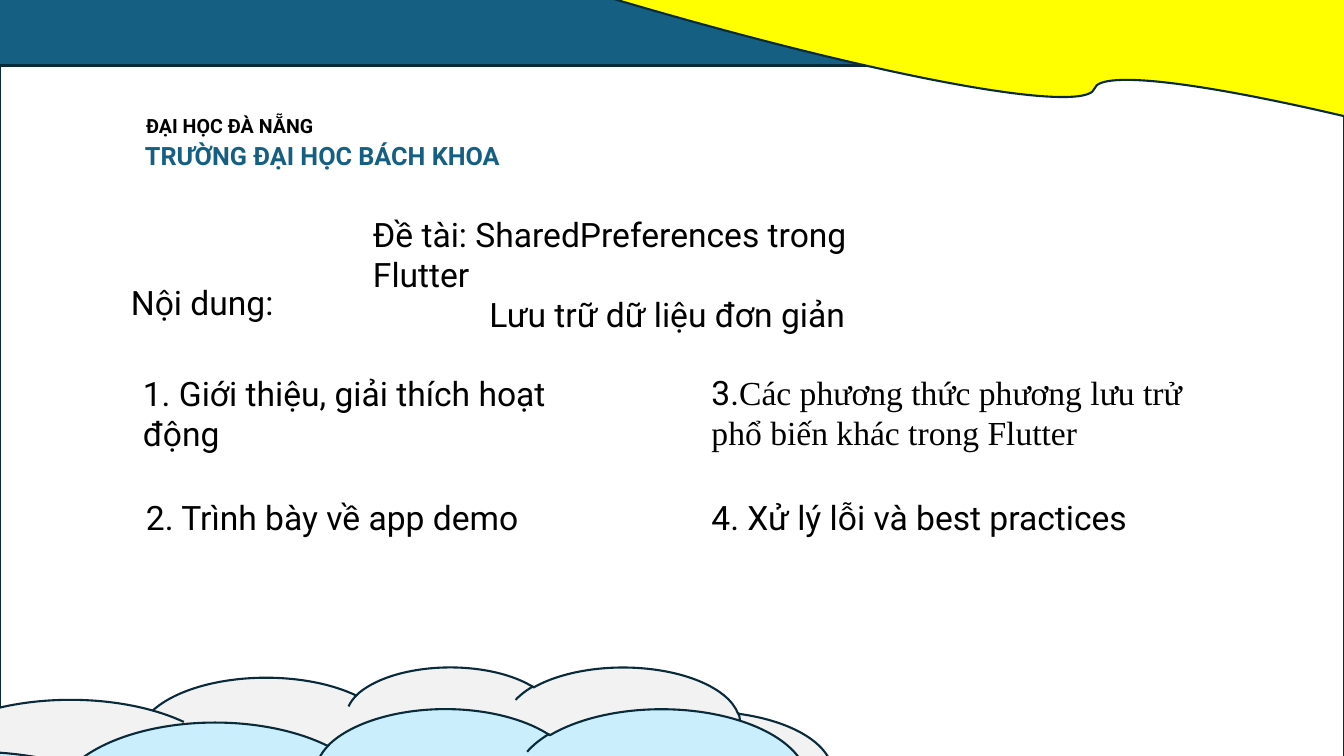
from dataclasses import dataclass

from pptx import Presentation
from pptx.dml.color import RGBColor
from pptx.enum.shapes import MSO_SHAPE as Preset
from pptx.enum.text import MSO_ANCHOR as Anchor, MSO_AUTO_SIZE as AutoSize, PP_ALIGN as Align
from pptx.shapes.base import BaseShape
from pptx.slide import Slide
from pptx.util import Pt

TITLE_ONLY = 5
BLACK, TEAL, OUTLINE = "000000", "156082", "092A39"
ROBOTO, SERIF = "Roboto", "Times New Roman"
SUBTITLE_INDENT = 83.2


@dataclass(frozen=True)
class Frame:
    left: float
    top: float
    width: float
    height: float


@dataclass(frozen=True)
class Backdrop:
    preset: Preset
    frame: Frame
    fill: str
    rotation: float = 0


@dataclass(frozen=True)
class Span:
    text: str
    font: str = ROBOTO


@dataclass(frozen=True)
class Label:
    frame: Frame
    spans: tuple[Span, ...]
    size: float = 24
    color: str = BLACK
    bold: bool = False


BACKDROPS = (
    Backdrop(Preset.RECTANGLE, Frame(0, 25.2, 960, 568.8), "FFFFFF"),
    Backdrop(Preset.CLOUD, Frame(-131.8, 475.9, 743, 262.8), "F2F2F2"),
    Backdrop(Preset.CLOUD, Frame(-249.1, 505.4, 929.5, 344.9), "CAEEFB"),
    Backdrop(Preset.RECTANGLE, Frame(-648, -196.6, 1608, 243.4), TEAL),
    Backdrop(Preset.FLOWCHART_PUNCHED_TAPE, Frame(74.9, -279.4, 1504.1, 388.1), "FFFF00", 16.9),
)

TITLE_FRAME = Frame(259.2, 149, 415.4, 65.5)
TITLE_LINES = ("Đề tài: SharedPreferences trong Flutter", "Lưu trữ dữ liệu đơn giản")

LABELS = (
    Label(Frame(97.2, 77.8, 149.8, 24.5), (Span("ĐẠI HỌC ĐÀ NẴNG"),), 14, bold=True),
    Label(Frame(96.5, 96.5, 300.2, 28.8), (Span("TRƯỜNG ĐẠI HỌC BÁCH KHOA"),), 18, TEAL, True),
    Label(Frame(86.4, 198, 193, 36), (Span("Nội dung:"),)),
    Label(Frame(95, 262.8, 357.1, 36), (Span("1. Giới thiệu, giải thích hoạt động"),)),
    Label(Frame(97.2, 351.4, 357.1, 36), (Span("2. Trình bày về app demo"),)),
    Label(
        Frame(501.1, 262.1, 363.6, 65.5),
        (
            Span("3."),
            Span("Các phương thức phương lưu trử phổ biến khác trong Flutter", SERIF),
        ),
    ),
    Label(Frame(501.1, 351.4, 357.1, 36), (Span("4. Xử lý lỗi và best practices"),)),
)


def rgb(color: str) -> RGBColor:
    return RGBColor.from_string(color)


def lengths(frame: Frame) -> tuple[Pt, Pt, Pt, Pt]:
    return Pt(frame.left), Pt(frame.top), Pt(frame.width), Pt(frame.height)


def style_run(run, font: str, size: float, color: str, bold: bool = False) -> None:
    run.font.name = font
    run.font.size = Pt(size)
    run.font.bold = bold
    run.font.color.rgb = rgb(color)


def set_up_text(box: BaseShape) -> None:
    """Wrap the text from the top and let the box grow with it."""
    text_frame = box.text_frame
    text_frame.word_wrap = True
    text_frame.auto_size = AutoSize.SHAPE_TO_FIT_TEXT
    text_frame.vertical_anchor = Anchor.TOP


def draw_backdrop(page: Slide, backdrop: Backdrop) -> None:
    shape = page.shapes.add_shape(backdrop.preset, *lengths(backdrop.frame))
    shape.rotation = backdrop.rotation
    shape.shadow.inherit = False
    shape.fill.solid()
    shape.fill.fore_color.rgb = rgb(backdrop.fill)
    shape.line.color.rgb = rgb(OUTLINE)
    shape.line.width = Pt(1.5)


def place_title(page: Slide) -> None:
    """Fill the title and bring it in front of the backdrops."""
    title = page.shapes.title
    title.left, title.top, title.width, title.height = lengths(TITLE_FRAME)
    set_up_text(title)
    title.text_frame.text = "\n".join(TITLE_LINES)
    for para in title.text_frame.paragraphs:
        para.alignment = Align.LEFT
        style_run(para.runs[0], ROBOTO, 24, BLACK)
    subtitle = title.text_frame.paragraphs[1]
    subtitle._p.get_or_add_pPr().set("marL", str(Pt(SUBTITLE_INDENT)))
    page.shapes._spTree.append(title._element)


def draw_label(page: Slide, label: Label) -> None:
    box = page.shapes.add_textbox(*lengths(label.frame))
    set_up_text(box)
    para = box.text_frame.paragraphs[0]
    for span in label.spans:
        run = para.add_run()
        run.text = span.text
        style_run(run, span.font, label.size, label.color, label.bold)


def main() -> None:
    deck = Presentation()
    deck.slide_width, deck.slide_height = Pt(960), Pt(540)
    page = deck.slides.add_slide(deck.slide_layouts[TITLE_ONLY])
    for backdrop in BACKDROPS:
        draw_backdrop(page, backdrop)
    place_title(page)
    for label in LABELS:
        draw_label(page, label)
    deck.save("out.pptx")


if __name__ == "__main__":
    main()
